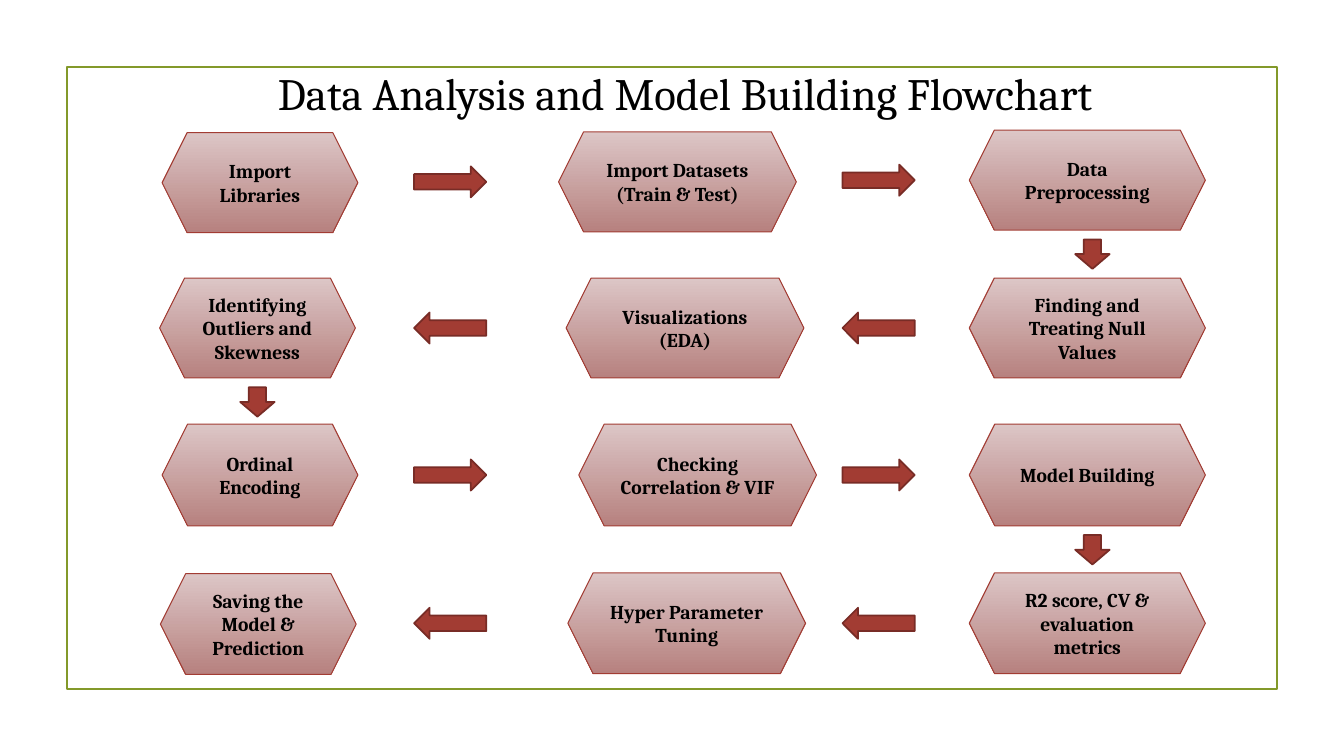
from pptx import Presentation
from pptx.dml.color import RGBColor
from pptx.enum.shapes import MSO_SHAPE
from pptx.enum.text import MSO_ANCHOR, PP_ALIGN
from pptx.util import Inches, Pt

BLACK = RGBColor(0x00, 0x00, 0x00)
OLIVE = RGBColor(0x83, 0x99, 0x2A)
BRICK = RGBColor(0xA2, 0x3C, 0x33)
DARK_BRICK = RGBColor(0x78, 0x2C, 0x26)
PALE_ROSE = RGBColor(0xDC, 0xC6, 0xC6)
DUSTY_ROSE = RGBColor(0xB7, 0x81, 0x7F)

GRID_COLUMNS, GRID_ROWS = 16, 9
STEP_WIDTHS = (2.33, 2.83, 2.81)
STEP_HEIGHTS = (1.19, 1.19, 1.21, 1.2)
ARROW_COLUMNS = (4.93, 10.03)
ARROW_SIZE = (0.86, 0.37)
DOWN_SIZE = (0.41, 0.35)
DOWN_GAP = 0.11

FLOW_ROWS = (
    (MSO_SHAPE.RIGHT_ARROW, (
        ("Import Libraries", 1.93, 1.58),
        ("Import Datasets\n(Train & Test)", 6.65, 1.57),
        ("Data Preprocessing", 11.54, 1.55))),
    (MSO_SHAPE.LEFT_ARROW, (
        ("Identifying Outliers and Skewness", 1.9, 3.31),
        ("Visualizations\n(EDA)", 6.74, 3.31),
        ("Finding and Treating Null Values", 11.54, 3.31))),
    (MSO_SHAPE.RIGHT_ARROW, (
        ("Ordinal Encoding", 1.93, 5.05),
        ("Checking Correlation & VIF", 6.89, 5.05),
        ("Model Building", 11.54, 5.05))),
    (MSO_SHAPE.LEFT_ARROW, (
        ("Saving the Model & Prediction", 1.91, 6.83),
        ("Hyper Parameter Tuning", 6.76, 6.82),
        ("R2 score, CV & evaluation metrics", 11.54, 6.82))),
)
DOWN_COLUMNS = (12.8, 2.86, 12.8)


def write_text(text_frame, text, size=14, bold=False, color=BLACK,
               font="Cambria", anchor=MSO_ANCHOR.MIDDLE):
    text_frame.word_wrap = True
    text_frame.vertical_anchor = anchor
    text_frame.text = text
    for paragraph in text_frame.paragraphs:
        paragraph.alignment = PP_ALIGN.CENTER
        for run in paragraph.runs:
            run.font.name = font
            run.font.size = Pt(size)
            run.font.bold = bold
            run.font.color.rgb = color


class FlowchartSlide:
    def __init__(self, presentation):
        self.slide = presentation.slides.add_slide(presentation.slide_layouts[6])
        self.column = presentation.slide_width / GRID_COLUMNS
        self.row = presentation.slide_height / GRID_ROWS

    def place(self, left, top, width, height):
        return (round(left * self.column), round(top * self.row),
                round(width * self.column), round(height * self.row))

    def outline(self, kind, area, color, weight):
        shape = self.slide.shapes.add_shape(kind, *self.place(*area))
        shape.shadow.inherit = False
        shape.line.color.rgb = color
        shape.line.width = Pt(weight)
        return shape

    def frame(self, *area):
        self.outline(MSO_SHAPE.RECTANGLE, area, OLIVE, 1.25).fill.background()

    def title(self, text, *area):
        box = self.slide.shapes.add_textbox(*self.place(*area))
        write_text(box.text_frame, text, size=32, anchor=MSO_ANCHOR.TOP)

    def step(self, text, *area):
        shape = self.outline(MSO_SHAPE.HEXAGON, area, BRICK, 0.75)
        shape.fill.gradient()
        shape.fill.gradient_angle = 270
        for stop, color in zip(shape.fill.gradient_stops, (PALE_ROSE, DUSTY_ROSE)):
            stop.color.rgb = color
        write_text(shape.text_frame, text, bold=True)

    def arrow(self, kind, left, top, size):
        shape = self.outline(kind, (left, top, *size), DARK_BRICK, 1.25)
        shape.fill.solid()
        shape.fill.fore_color.rgb = BRICK


def main():
    presentation = Presentation()
    presentation.slide_width = Inches(13.33)
    presentation.slide_height = Inches(7.5)

    flowchart = FlowchartSlide(presentation)
    flowchart.frame(0.8, 0.8, 14.4, 7.4)
    flowchart.title("Data Analysis and Model Building Flowchart", 0.16, 0.72, 16, 0.77)

    for (direction, steps), height in zip(FLOW_ROWS, STEP_HEIGHTS):
        for (text, left, top), width in zip(steps, STEP_WIDTHS):
            flowchart.step(text, left, top, width, height)
        for left, (_, _, top) in zip(ARROW_COLUMNS, steps[1:]):
            middle = top + (height - ARROW_SIZE[1]) / 2
            flowchart.arrow(direction, left, middle, ARROW_SIZE)

    for left, (_, steps), height in zip(DOWN_COLUMNS, FLOW_ROWS, STEP_HEIGHTS):
        bottom = steps[-1][2] + height
        flowchart.arrow(MSO_SHAPE.DOWN_ARROW, left, bottom + DOWN_GAP, DOWN_SIZE)

    presentation.save("out.pptx")


if __name__ == "__main__":
    main()
